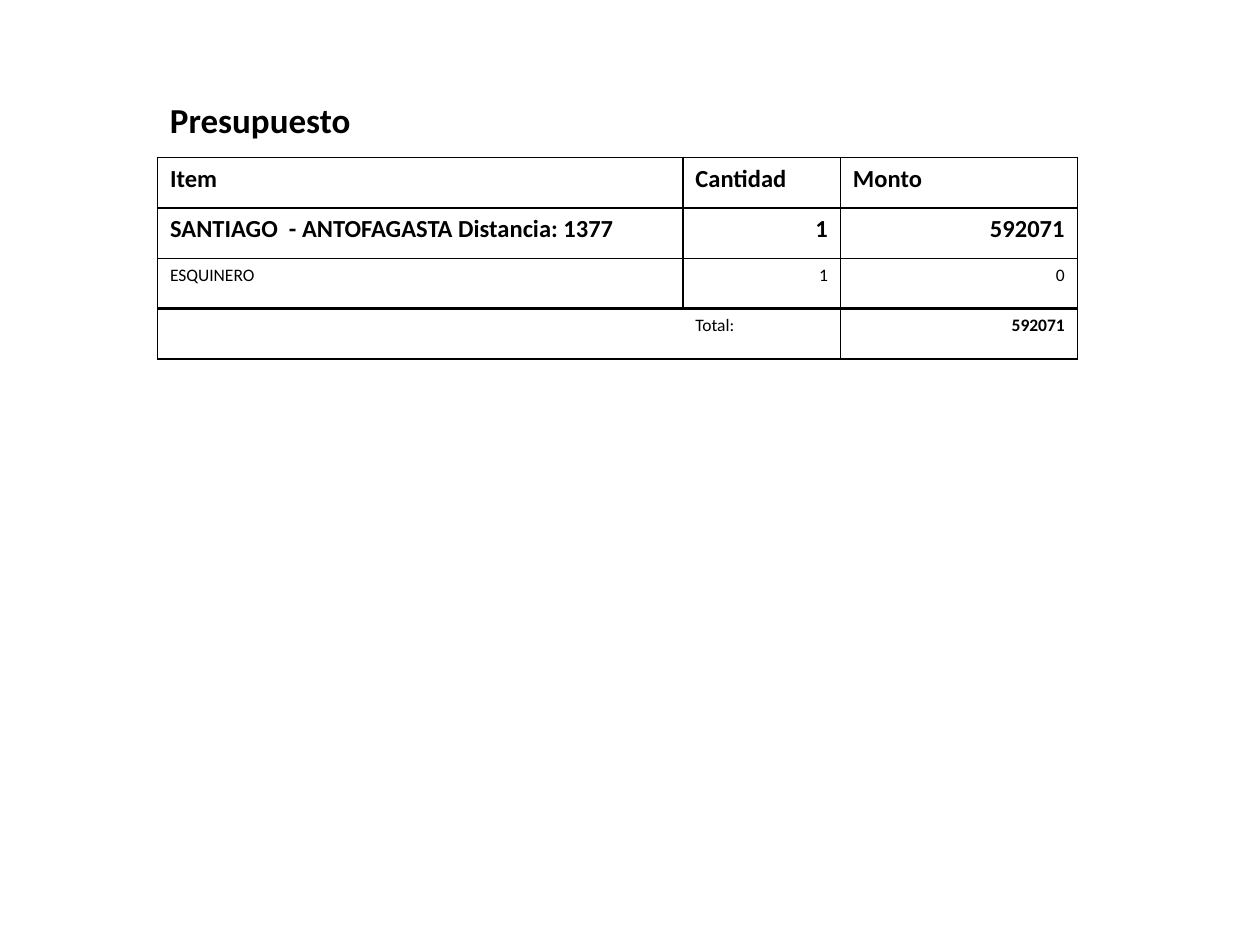
import pptx
import pptx.dml.color
import pptx.enum.text
import pptx.oxml.ns
import pptx.util
from lxml import etree

Inches = pptx.util.Inches
Pt = pptx.util.Pt
ALIGN = pptx.enum.text.PP_ALIGN

COLORS = {"ink": "000000", "paper": "FFFFFF"}
FONT = "Calibri"
COL_WIDTHS = [4.17, 1.25, 1.88]
ROW_HEIGHT = 0.4
ROWS = [
    [("Item", 14, True), ("Cantidad", 14, True), ("Monto", 14, True)],
    [("SANTIAGO  - ANTOFAGASTA Distancia: 1377", 14, True), ("1", 14, True), ("592071", 14, True)],
    [("ESQUINERO", 10, False), ("1", 10, False), ("0", 10, False)],
    [("", 10, False), ("Total:", 10, False), ("592071", 10, True)],
]


def rgb(name):
    return pptx.dml.color.RGBColor.from_string(COLORS[name])


def add_run(p, text, size, bold):
    r = p.add_run()
    r.text = text
    r.font.name = FONT
    r.font.size = Pt(size)
    r.font.bold = bold
    r.font.color.rgb = rgb("ink")


def set_borders(cell, widths):
    qn = pptx.oxml.ns.qn
    tcPr = cell._tc.get_or_add_tcPr()
    for side in "LRTB":
        width = widths[side]
        ln = etree.SubElement(tcPr, qn("a:ln" + side), w=str(Pt(width)))
        if width:
            fill = etree.SubElement(ln, qn("a:solidFill"))
            etree.SubElement(fill, qn("a:srgbClr"), val=COLORS["ink"])
        else:
            etree.SubElement(ln, qn("a:noFill"))


def add_title(s, text):
    sp = s.shapes.add_textbox(Inches(1.25), Inches(0.73), Inches(6.25), Inches(3.12))
    tf = sp.text_frame
    tf.word_wrap = True
    tf.auto_size = pptx.enum.text.MSO_AUTO_SIZE.SHAPE_TO_FIT_TEXT
    add_run(tf.paragraphs[0], text, 20, True)


def add_budget_table(s):
    frame = s.shapes.add_table(len(ROWS), len(COL_WIDTHS), Inches(1.25), Inches(1.25),
                               Inches(7.3), Inches(ROW_HEIGHT * len(ROWS)))
    table = frame.table
    table.first_row = False
    table.horz_banding = False
    for column, width in zip(table.columns, COL_WIDTHS):
        column.width = Inches(width)
    for i, row in enumerate(ROWS):
        table.rows[i].height = Inches(ROW_HEIGHT)
        for j, (text, size, bold) in enumerate(row):
            cell = table.cell(i, j)
            p = cell.text_frame.paragraphs[0]
            if text:
                add_run(p, text, size, bold)
            if text.isdigit():
                p.alignment = ALIGN.RIGHT
            widths = dict.fromkeys("LRTB", 1)
            if i == 2:
                widths["B"] = 2
            if i == 3 and j < 2:
                widths["R" if j == 0 else "L"] = 0
            set_borders(cell, widths)
            cell.fill.solid()
            cell.fill.fore_color.rgb = rgb("paper")
    frame.height = Inches(2.08)


def main():
    prs = pptx.Presentation()
    prs.slide_width = Inches(10)
    prs.slide_height = Inches(7.5)
    s = prs.slides.add_slide(prs.slide_layouts[6])
    add_title(s, "Presupuesto")
    add_budget_table(s)
    prs.save("out.pptx")


if __name__ == "__main__":
    main()
